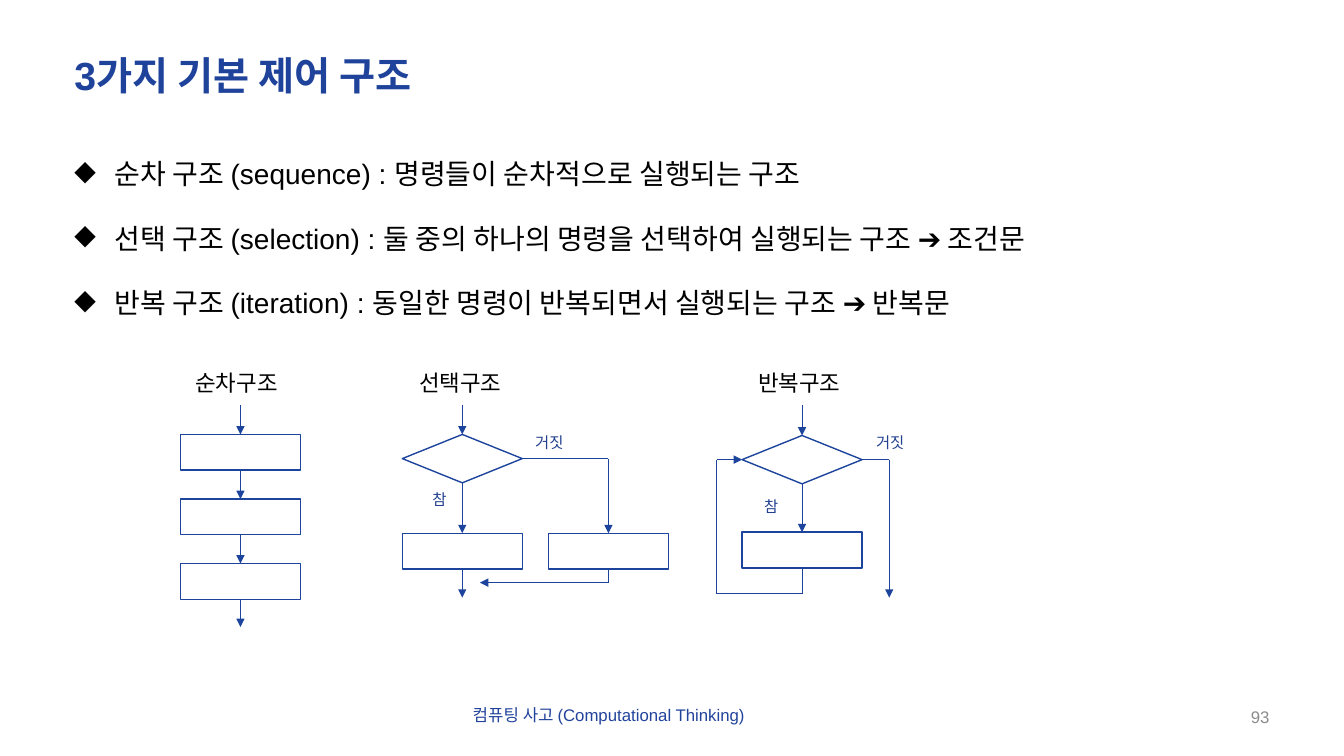
from pptx import Presentation
from pptx.dml.color import RGBColor
from pptx.enum.shapes import MSO_CONNECTOR as LINE, MSO_SHAPE as SHAPE
from pptx.enum.text import MSO_ANCHOR as ANCHOR, MSO_AUTO_SIZE as FIT, PP_ALIGN as ALIGN
from pptx.oxml.ns import qn
from pptx.util import Inches, Pt
from lxml.etree import SubElement

BLACK = RGBColor(0x00, 0x00, 0x00)
WHITE = RGBColor(0xFF, 0xFF, 0xFF)
GREY = RGBColor(0x8C, 0x8C, 0x8C)
TITLE_BLUE = RGBColor(0x1F, 0x43, 0x9B)
FOOTER_BLUE = RGBColor(0x21, 0x43, 0x9B)
LINE_BLUE = RGBColor(0x1D, 0x44, 0x9C)
LABEL_BLUE = RGBColor(0x22, 0x40, 0x8F)

CELL = Inches(0.1)  # side of one grid column or row
TOP, LEFT, BOTTOM, RIGHT = range(4)  # connection sites
STEP_W, STEP_H, TEST_H = 11.9, 3.55, 4.8


def grid(*cells):
    return [round(n * CELL) for n in cells]


class FlowSlide:
    def __init__(self, prs):
        self.s = prs.slides.add_slide(prs.slide_layouts[6])

    def text(self, box, lines, size, color, font="Arial", bold=False,
             wrap=True, anchor=ANCHOR.TOP, align=ALIGN.LEFT, spacing=None):
        tf = self.s.shapes.add_textbox(*grid(*box)).text_frame
        tf.text = lines
        tf.word_wrap = wrap
        tf.auto_size = FIT.NONE if wrap else FIT.SHAPE_TO_FIT_TEXT
        tf.vertical_anchor = anchor
        for p in tf.paragraphs:
            p.alignment = align
            p.line_spacing = spacing
            for r in p.runs:
                r.font.name, r.font.size, r.font.bold = font, Pt(size), bold
                r.font.color.rgb = color
        return tf

    def bullets(self, box, lines, size, color):
        tf = self.text(box, lines, size, color, spacing=1.5)
        for i, p in enumerate(tf.paragraphs):
            if i:
                p.space_before = Pt(10)
            pPr = p._p.get_or_add_pPr()
            pPr.set("marL", str(Inches(0.4)))
            pPr.set("indent", str(-Inches(0.4)))
            SubElement(pPr, qn("a:buChar")).set("char", "◆")

    def heading(self, x, text):
        self.text((x, 36.1, 11, 3.7), text, 16, BLACK, "Calibri", wrap=False)

    def label(self, x, y, w, text):
        self.text((x, y, w, 2.9), text, 11, LABEL_BLUE, "Calibri", wrap=False)

    def node(self, center, top, kind=SHAPE.RECTANGLE, height=STEP_H):
        box = grid(center - STEP_W / 2, top, STEP_W, height)
        sp = self.s.shapes.add_shape(kind, *box)
        sp.shadow.inherit = False
        sp.fill.solid()
        sp.fill.fore_color.rgb = WHITE
        sp.line.color.rgb = LINE_BLUE
        sp.line.width = Pt(1)
        return sp

    def test(self, center, top):
        return self.node(center, top, SHAPE.DIAMOND, TEST_H)

    def arrow(self, *stops):
        """Run through stops, each a grid point or a (shape, site) pair."""
        for a, b in zip(stops, stops[1:]):
            ends = [(0, 0) if hasattr(e[0], "shape_id") else e for e in (a, b)]
            cn = self.s.shapes.add_connector(LINE.STRAIGHT, *grid(*ends[0], *ends[1]))
            if ends[0] != a:
                cn.begin_connect(*a)
            if ends[1] != b:
                cn.end_connect(*b)
            cn.line.color.rgb = LINE_BLUE
            cn.line.width = Pt(0.5)
            SubElement(cn._element.spPr, qn("a:effectLst"))
        SubElement(cn.line._get_or_add_ln(), qn("a:tailEnd")).set("type", "triangle")


def main():
    prs = Presentation()
    prs.slide_width, prs.slide_height = Inches(13.33), Inches(7.5)
    s = FlowSlide(prs)

    # Title, bullets and footer
    s.text((6.4, 5.1, 120.5, 5.3), "3가지 기본 제어 구조", 28, TITLE_BLUE,
           bold=True, anchor=ANCHOR.MIDDLE, spacing=0.9)
    s.bullets((6.4, 13.4, 120.5, 54.4), "\n".join([
        "순차 구조 (sequence) : 명령들이 순차적으로 실행되는 구조",
        "선택 구조 (selection) : 둘 중의 하나의 명령을 선택하여 실행되는 구조 ➔ 조건문",
        "반복 구조 (iteration) : 동일한 명령이 반복되면서 실행되는 구조 ➔ 반복문",
    ]), 20, BLACK)
    s.text((45.9, 69.4, 32.7, 3), "컴퓨팅 사고 (Computational Thinking)", 12,
           FOOTER_BLUE, wrap=False)
    s.text((96.9, 69.8, 30, 2.6), "93", 12, GREY, anchor=ANCHOR.MIDDLE,
           align=ALIGN.RIGHT)

    # Sequence: three steps in a row
    x = 23.85
    s.heading(18.4, "순차구조")
    steps = [s.node(x, 43.1 + 6.4 * i) for i in range(3)]
    s.arrow((x, 40.2), (steps[0], TOP))
    for upper, lower in zip(steps, steps[1:]):
        s.arrow((upper, BOTTOM), (lower, TOP))
    s.arrow((steps[-1], BOTTOM), (x, 62.2))

    # Selection: a test with two branches
    x, x_no = 45.85, 60.35
    s.heading(40.6, "선택구조")
    test, yes, no = s.test(x, 43.1), s.node(x, 52.9), s.node(x_no, 52.9)
    s.arrow((x, 40.2), (test, TOP))
    s.arrow((test, BOTTOM), (yes, TOP))
    s.arrow((yes, BOTTOM), (x, 59.3))
    s.arrow((test, RIGHT), (x_no, 45.5), (no, TOP))
    s.arrow((no, BOTTOM), (x_no, 57.8), (47.6, 57.8))
    s.label(52.1, 42.5, 5.1, "거짓")
    s.label(41.9, 48.1, 3.6, "참")

    # Iteration: a test with a loop back and an exit
    x, x_back, x_exit, y_test = 79.55, 71.1, 88.2, 45.6
    s.heading(74.2, "반복구조")
    test, body = s.test(x, 43.2), s.node(x, 52.8)
    s.arrow((x, 40.2), (test, TOP))
    s.arrow((test, BOTTOM), (body, TOP))
    s.arrow((body, BOTTOM), (x, 58.9), (x_back, 58.9), (x_back, y_test), (test, LEFT))
    s.arrow((test, RIGHT), (x_exit, y_test), (x_exit, 59.3))
    s.label(74.8, 48.8, 3.6, "참")
    s.label(85.9, 42.5, 5.1, "거짓")

    prs.save("out.pptx")


if __name__ == "__main__":
    main()
